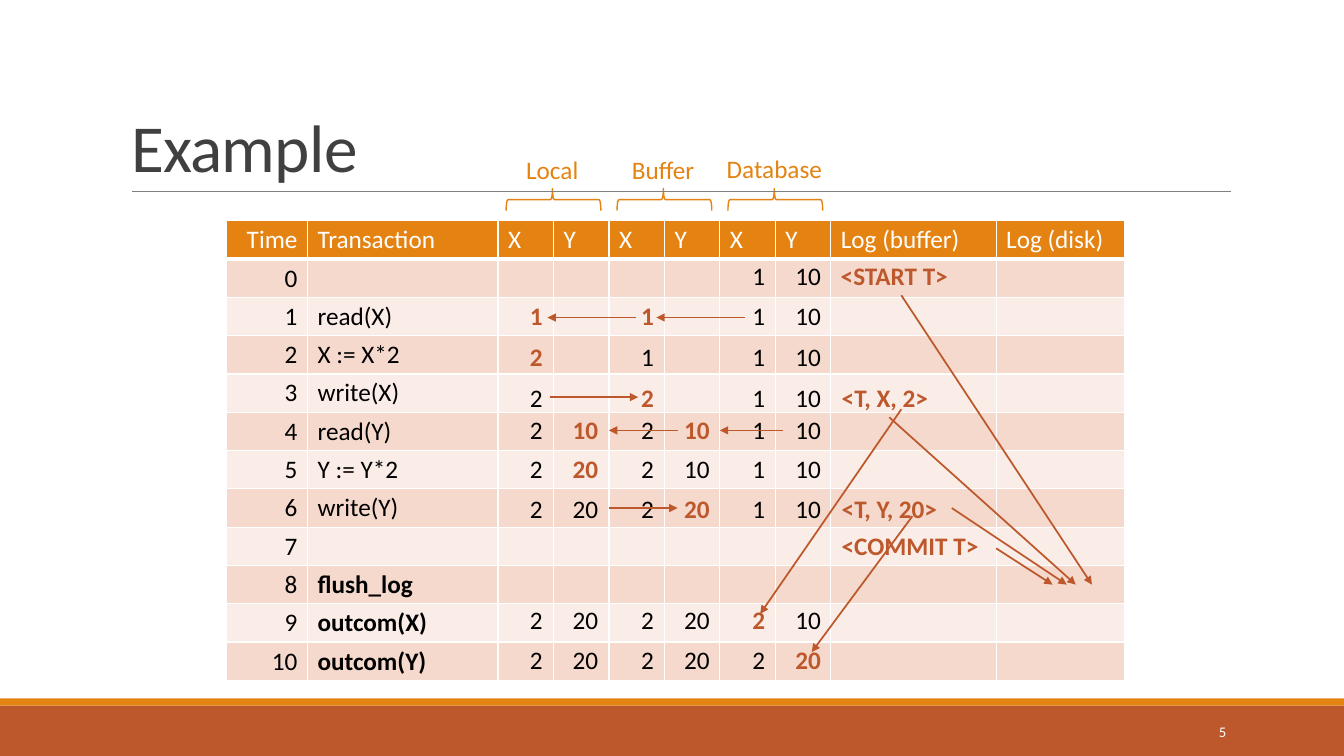
from pptx import Presentation
from pptx.dml.color import RGBColor
from pptx.enum.shapes import MSO_CONNECTOR as CONN, MSO_SHAPE as SHAPE
from pptx.enum.text import MSO_ANCHOR as ANCHOR, MSO_AUTO_SIZE as FIT, PP_ALIGN as ALIGN
from pptx.oxml import parse_xml
from pptx.oxml.ns import nsdecls
from pptx.util import Inches, Pt

ORANGE, RUST = "E48312", "BD582C"


def rgb(color):
    return RGBColor.from_string(color)


def write(tf, text, size=18, color="000000", bold=False, align=ALIGN.LEFT):
    p = tf.paragraphs[0]
    p.alignment = align
    r = p.add_run()
    r.text = text
    r.font.name = "Calibri"
    r.font.size = Pt(size)
    r.font.bold = bold
    r.font.color.rgb = rgb(color)
    return r


prs = Presentation()
prs.slide_width, prs.slide_height = Inches(13.33), Inches(7.5)
s = prs.slides.add_slide(prs.slide_layouts[5])

# Footer bars
for top, height, color in [(7, 0.5, RUST), (6.93, 0.07, ORANGE)]:
    sp = s.shapes.add_shape(SHAPE.RECTANGLE, 0, Inches(top), prs.slide_width, Inches(height))
    sp.shadow.inherit = False
    sp.fill.solid()
    sp.fill.fore_color.rgb = rgb(color)
    sp.line.fill.background()

# Title
title = s.shapes.title
title.left, title.top, title.width, title.height = (Inches(v) for v in (1.2, 0.31, 11, 1.59))
tf = title.text_frame
tf.word_wrap = True
tf.auto_size = FIT.NONE
tf.vertical_anchor = ANCHOR.BOTTOM
r = write(tf, "Example", size=48, color="404040")
r.font._element.set("spc", "-50")
tf.paragraphs[0].line_spacing = 0.85

# Slide number
tf = s.shapes.add_textbox(Inches(10.83), Inches(7.06), Inches(1.43), Inches(0.4)).text_frame
tf.word_wrap = True
tf.vertical_anchor = ANCHOR.MIDDLE
write(tf, "5", size=10.5, color="FFFFFF", align=ALIGN.RIGHT)

# Schedule table
headers = ["Time", "Transaction", "X", "Y", "X", "Y", "X", "Y", "Log (buffer)", "Log (disk)"]
steps = ["", "read(X)", "X := X*2", "write(X)", "read(Y)", "Y := Y*2", "write(Y)", "",
         "flush_log", "outcom(X)", "outcom(Y)"]
rows = [headers] + [[str(time), step] + [""] * 8 for time, step in enumerate(steps)]
widths = [0.8, 1.89] + [0.55] * 6 + [1.64, 1.27]
table = s.shapes.add_table(len(rows), len(headers), Inches(2.25), Inches(2.19),
                           Inches(8.91), Inches(4.54)).table
for column, width in zip(table.columns, widths):
    column.width = Inches(width)
for i, row in enumerate(rows):
    for j, text in enumerate(row):
        cell = table.cell(i, j)
        cell.margin_left = cell.margin_right = Inches(0.1)
        cell.margin_top = cell.margin_bottom = Inches(0.04)
        cell.fill.solid()
        cell.fill.fore_color.rgb = rgb(ORANGE if i == 0 else ("FAEDE7", "F5D9CC")[i % 2])
        if text:
            write(cell.text_frame, text, color="000000" if i else "FFFFFF",
                  bold=i > 8 and j == 1, align=ALIGN.LEFT if j else ALIGN.RIGHT)
        for k, side in enumerate("LRTB"):
            weight = Pt(3 if i == 0 and side == "B" else 1)
            cell._tc.get_or_add_tcPr().insert(k, parse_xml(
                f'<a:ln{side} {nsdecls("a")} w="{weight}"><a:solidFill>'
                f'<a:srgbClr val="FFFFFF"/></a:solidFill></a:ln{side}>'))

# Column group labels and braces
groups = [("Local", 5.12, 1.48, 0.73, 5.38), ("Buffer", 6.17, 1.48, 0.83, 6.48),
          ("Database", 7.11, 1.47, 1.16, 7.58)]
for name, left, top, width, brace_left in groups:
    sp = s.shapes.add_shape(SHAPE.RIGHT_BRACE, Inches(brace_left), Inches(1.51),
                            Inches(0.22), Inches(0.94))
    sp.rotation = 270
    sp.adjustments[0], sp.adjustments[1] = 0.083, 0.489
    sp.shadow.inherit = False
    sp.fill.background()
    sp.line.color.rgb = rgb(ORANGE)
    sp.line.width = Pt(1)
    tf = s.shapes.add_textbox(Inches(left), Inches(top), Inches(width), Inches(0.4)).text_frame
    tf.word_wrap = False
    tf.auto_size = FIT.SHAPE_TO_FIT_TEXT
    write(tf, name, color=ORANGE)

# Values of X and Y in local, buffer and database; * marks a change, - an empty cell
values = [
    (2.53, "- - - - 1 10"),
    (2.93, "*1 - *1 - 1 10"),
    (3.34, "*2 - 1 - 1 10"),
    (3.74, "2 - *2 - 1 10"),
    (4.06, "2 *10 2 *10 1 10"),
    (4.45, "2 *20 2 10 1 10"),
    (4.84, "2 20 2 *20 1 10"),
    (5.95, "2 20 2 20 *2 10"),
    (6.34, "2 20 2 20 2 *20"),
]
notes = [(5.01 + j * (7.77 - 5.01) / 5, top, 0.47, value.strip("*"), value[0] == "*", ALIGN.RIGHT)
         for top, line in values for j, value in enumerate(line.split()) if value != "-"]

# Log records
records = [(8.24, 2.53, 1.33, "<START T>"), (8.25, 3.74, 1.08, "<T, X, 2>"),
           (8.25, 4.84, 1.19, "<T, Y, 20>"), (8.25, 5.21, 1.63, "<COMMIT T>")]
notes += [(*record, True, ALIGN.LEFT) for record in records]
for left, top, width, text, changed, align in notes:
    tf = s.shapes.add_textbox(Inches(left), Inches(top), Inches(width), Inches(0.4)).text_frame
    tf.word_wrap = True
    tf.auto_size = FIT.SHAPE_TO_FIT_TEXT
    write(tf, text, color=RUST if changed else "000000", bold=changed, align=align)

# Title rule and data flow arrows
rule = (1.31, 1.9, 12.21, 1.9)
arrows = [
    (7.39, 3.15, 6.51, 3.15), (6.31, 3.15, 5.43, 3.15), (5.45, 3.94, 6.33, 3.94),
    (7.77, 4.27, 7.14, 4.27), (6.72, 4.27, 6.04, 4.27), (6.04, 5.04, 6.72, 5.04),
    (8.94, 4.06, 7.54, 6.09), (9.05, 5.12, 8.05, 6.47), (8.94, 2.93, 10.83, 5.8),
    (8.82, 4.14, 10.67, 5.8), (9.44, 5.04, 10.58, 5.8), (9.88, 5.44, 10.44, 5.8),
]
for ends in [rule] + arrows:
    line = s.shapes.add_connector(CONN.STRAIGHT, *(Inches(v) for v in ends))
    line.line.color.rgb = rgb("808080" if ends == rule else RUST)
    line.line.width = Pt(0.5 if ends == rule else 1.25)
    if ends != rule:
        line.line._get_or_add_ln().append(parse_xml(f'<a:tailEnd {nsdecls("a")} type="triangle"/>'))
    line._element.spPr.append(parse_xml(f'<a:effectLst {nsdecls("a")}/>'))

prs.save("out.pptx")
